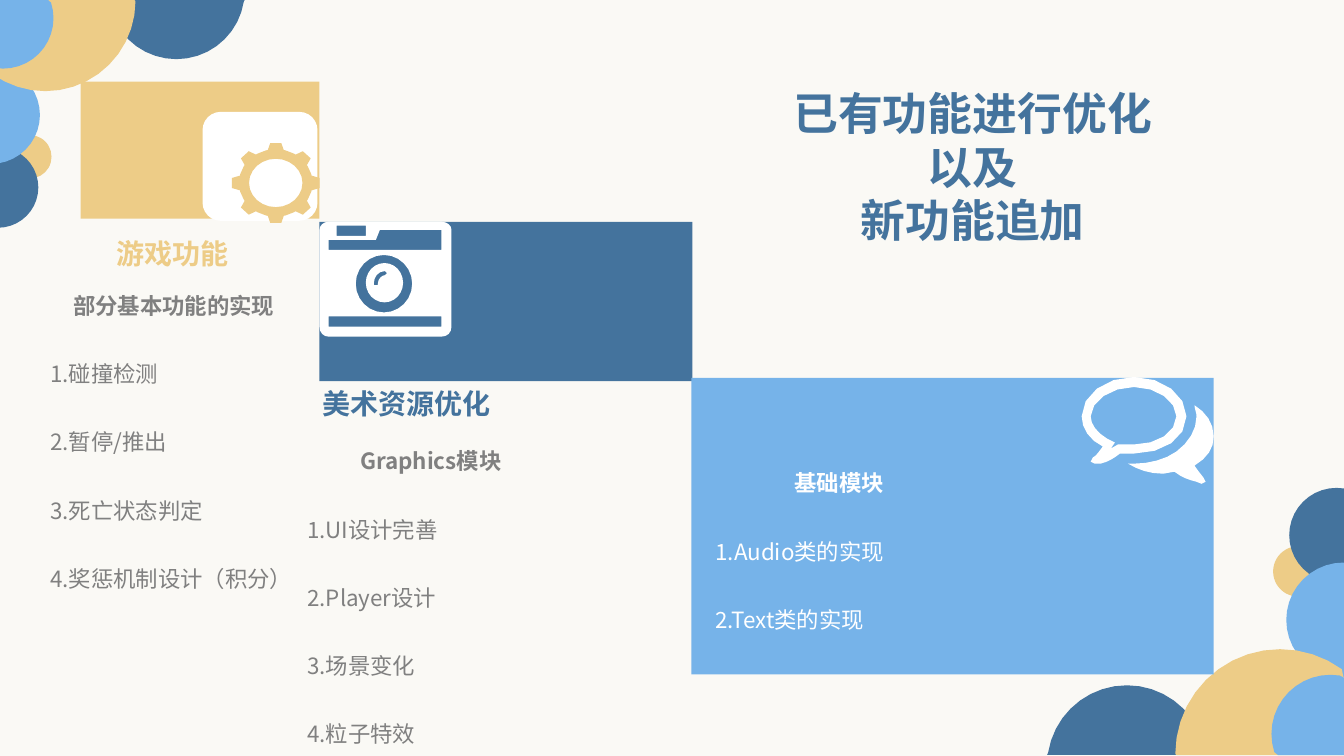
"""Builds a slide on optimised features and newly added ones."""
from math import cos, pi, radians, sin

from lxml import etree
from pptx import Presentation
from pptx.dml.color import RGBColor
from pptx.enum.shapes import MSO_SHAPE
from pptx.enum.text import PP_ALIGN
from pptx.oxml.ns import qn
from pptx.util import Pt

PROCESS = MSO_SHAPE.FLOWCHART_PROCESS
DOT = MSO_SHAPE.FLOWCHART_CONNECTOR
RECT = MSO_SHAPE.RECTANGLE
ROUND_RECT = MSO_SHAPE.ROUNDED_RECTANGLE
LEFT = PP_ALIGN.LEFT
CENTER = PP_ALIGN.CENTER

CREAM = RGBColor(0xFA, 0xF9, 0xF5)
GOLD = RGBColor(0xED, 0xCC, 0x87)
NAVY = RGBColor(0x44, 0x73, 0x9D)
SKY = RGBColor(0x76, 0xB3, 0xE9)
GRAY = RGBColor(0x80, 0x80, 0x80)
WHITE = RGBColor(0xFF, 0xFF, 0xFF)

WIDTH, HEIGHT = 960, 540
CLIP_LEFT, CLIP_BOTTOM = -6.5, 539.3
ICON_UNIT = 0.72

RIGHT_CIRCLES = [
    (805, 546.5, 57, NAVY), (954.7, 382.3, 33.8, NAVY), (959.8, 442.8, 41, SKY),
    (914.4, 538.6, 74.9, GOLD), (950.4, 524.2, 42.2, SKY),
]
LEFT_CIRCLES = [
    (126, -6.5, 48.8, NAVY), (-1.4, 133.9, 28.8, NAVY), (-6.5, 82.1, 35, SKY),
    (32.4, 0.7, 64.4, GOLD), (2.2, 13, 36, SKY),
]

CAMERA_BODY = [
    (131, 104), (131, 110, 127, 114, 121, 114), (9, 114), (4, 114, 0, 110, 0, 104),
    (0, 8), (0, 4, 4, 0, 9, 0), (121, 0), (127, 0, 131, 4, 131, 8),
]
CAMERA_TOP = [(121, 28), (121, 8), (60, 8), (56, 18), (9, 18), (9, 28)]
CAMERA_BASE = [(121, 104), (121, 94), (9, 94), (9, 104)]
CAMERA_BUTTON = [(46, 14), (46, 4), (17, 4), (17, 14)]
CAMERA_GLINT = [
    (65, 49), (58, 49, 54, 55, 54, 61), (54, 63, 54, 63, 56, 63),
    (58, 63, 58, 63, 58, 61), (58, 57, 62, 53, 65, 53), (67, 51),
]
BUBBLE_OUTER = [
    (104, 39), (104, 61, 81, 76, 52, 76), (38, 76), (33, 80, 27, 84, 19, 86),
    (13, 86), (9, 84), (11, 80),
    (15, 78, 17, 74, 21, 69), (8, 63, 0, 51, 0, 39), (0, 18, 23, 0, 52, 0),
    (81, 0, 104, 18, 104, 39),
]
BUBBLE_INNER = [
    (9, 39), (9, 47, 15, 55, 25, 61), (33, 65), (29, 71), (36, 67), (52, 67),
    (75, 67, 94, 55, 94, 39), (94, 24, 75, 10, 52, 10), (29, 10, 9, 24, 9, 39),
]
BUBBLE_BACK = [
    (121, 100), (123, 104), (119, 106), (114, 104), (106, 102, 100, 100, 92, 94),
    (81, 96), (67, 96, 56, 92, 46, 86), (52, 86),
    (67, 86, 83, 82, 94, 74), (106, 65, 114, 53, 114, 39),
    (114, 35, 112, 32, 112, 28), (123, 35, 131, 45, 131, 59),
    (131, 71, 125, 80, 112, 88), (116, 94, 118, 96, 121, 100),
]
GEAR_TOOTH = [(-9.5, -25.5), (-5, -39.5), (5, -39.5), (9.5, -25.5)]
GEAR_STRETCH = 1.1
GEAR_CENTER = (197, 130.7)


def ellipse(cx, cy, rx, ry, steps=24):
    angles = [2 * pi * i / steps for i in range(steps)]
    return [(cx + rx * cos(a), cy + ry * sin(a)) for a in angles]


def clip(points):
    clamped = [(min(max(x, CLIP_LEFT), WIDTH), min(max(y, 0), CLIP_BOTTOM))
               for x, y in points]
    pts = list(dict.fromkeys(clamped))
    trios = zip(pts[-1:] + pts[:-1], pts, pts[1:] + pts[:1])
    return [p for a, p, b in trios
            if not (a[0] == p[0] == b[0] or a[1] == p[1] == b[1])]


def flatten(contour, steps=4):
    points = []
    for seg in contour:
        if len(seg) == 2:
            points.append(seg)
            continue
        x0, y0 = points[-1]
        x1, y1, x2, y2, x3, y3 = seg
        for i in range(1, steps + 1):
            t = i / steps
            a, b, c, d = (1 - t) ** 3, 3 * t * (1 - t) ** 2, 3 * t * t * (1 - t), t ** 3
            points.append((a * x0 + b * x1 + c * x2 + d * x3,
                           a * y0 + b * y1 + c * y2 + d * y3))
    return points


def gear_tooth(angle):
    c, s = cos(radians(angle)), sin(radians(angle))
    return [(GEAR_STRETCH * (x * c - y * s), x * s + y * c) for x, y in GEAR_TOOTH]


class Deck:
    def __init__(self, font):
        self.font = font
        self.prs = Presentation()
        self.prs.slide_width, self.prs.slide_height = Pt(WIDTH), Pt(HEIGHT)
        self.s = self.prs.slides.add_slide(self.prs.slide_layouts[6])

    def paint(self, sp, color):
        sp.shadow.inherit = False
        sp.fill.solid()
        sp.fill.fore_color.rgb = color
        sp.line.fill.background()

    def shape(self, kind, x, y, w, h, color):
        sp = self.s.shapes.add_shape(kind, Pt(x), Pt(y), Pt(w), Pt(h))
        self.paint(sp, color)

    def outline(self, contours, color, origin=(0, 0), unit=1):
        ox, oy = origin
        builder = None
        for contour in contours:
            points = [(Pt(ox + x * unit), Pt(oy + y * unit)) for x, y in flatten(contour)]
            if builder is None:
                builder = self.s.shapes.build_freeform(*points[0], scale=1.0)
            else:
                builder.move_to(*points[0])
            builder.add_line_segments(points[1:], close=True)
        self.paint(builder.convert_to_shape(), color)

    def circle(self, cx, cy, r, color):
        self.outline([clip(ellipse(cx, cy, r, r, 40))], color)

    def style(self, p, size, color, bold, align):
        p.alignment = align
        p.line_spacing = Pt(size * 1.2)
        for r in p.runs:
            r.font.size = Pt(size)
            r.font.bold = bold
            r.font.color.rgb = color
            r.font.name = self.font
            ea = etree.SubElement(r._r.get_or_add_rPr(), qn("a:ea"))
            ea.set("typeface", self.font)

    def heading(self, x, y, w, h, text, size, color):
        tf = self.s.shapes.add_textbox(Pt(x), Pt(y), Pt(w), Pt(h)).text_frame
        tf.word_wrap = True
        tf.text = text
        for p in tf.paragraphs:
            self.style(p, size, color, True, CENTER)
        return tf

    def module(self, x, y, h, title, items, color):
        tf = self.heading(x, y, 190.8, h, title, 16, color)
        for item in items:
            p = tf.add_paragraph()
            p.text = item
            p.space_before = Pt(29.5)
            self.style(p, 16, color, False, LEFT)


def main():
    deck = Deck("Noto Sans CJK SC")
    deck.shape(PROCESS, -6.5, 0, 988.6, 541.4, CREAM)
    deck.shape(DOT, 909.4, 390.2, 36, 36, GOLD)
    for circle in RIGHT_CIRCLES:
        deck.circle(*circle)
    deck.shape(DOT, 5.8, 96.5, 31, 31, GOLD)
    for circle in LEFT_CIRCLES:
        deck.circle(*circle)

    deck.shape(RECT, 228.2, 158.4, 266.4, 113.8, NAVY)
    deck.shape(RECT, 493.9, 270, 373, 211.7, SKY)
    lens = [ellipse(64, 61.5, 28, 28.5), ellipse(64.5, 60.5, 18.5, 19.5)]
    camera = [CAMERA_BODY, CAMERA_TOP, CAMERA_BASE, CAMERA_BUTTON, *lens, CAMERA_GLINT]
    deck.outline(camera, WHITE, (228.2, 158.4), ICON_UNIT)
    bubbles = [BUBBLE_OUTER, BUBBLE_INNER, BUBBLE_BACK]
    deck.outline(bubbles, WHITE, (772.6, 269.3), ICON_UNIT)

    deck.module(28.8, 205.2, 163.4, "部分基本功能的实现",
                ["1.碰撞检测", "2.暂停/推出", "3.死亡状态判定", "4.奖惩机制设计（积分）"], GRAY)
    deck.heading(195.8, 272.9, 189.4, 31.7, "美术资源优化", 20, NAVY)
    deck.heading(10.8, 165.6, 225.4, 31.7, "游戏功能", 20, GOLD)
    deck.heading(529.9, 57.6, 329.8, 123.8, "已有功能进行优化\n以及\n新功能追加", 32, NAVY)

    deck.shape(RECT, 57.6, 58.3, 170.6, 97.9, GOLD)
    deck.shape(ROUND_RECT, 144.7, 79.9, 82.1, 77.8, WHITE)
    ring = [ellipse(0, 0, 36.5, 33.5), ellipse(0, 0, 26.5, 24)]
    deck.outline(ring, GOLD, GEAR_CENTER, ICON_UNIT)
    for angle in range(0, 360, 45):
        deck.outline([gear_tooth(angle)], GOLD, GEAR_CENTER, ICON_UNIT)

    deck.module(212.4, 316.1, 133.2, "Graphics模块",
                ["1.UI设计完善", "2.Player设计", "3.场景变化", "4.粒子特效"], GRAY)
    deck.module(504, 331.9, 103, "基础模块", ["1.Audio类的实现", "2.Text类的实现"], WHITE)
    deck.prs.save("out.pptx")


if __name__ == "__main__":
    main()
